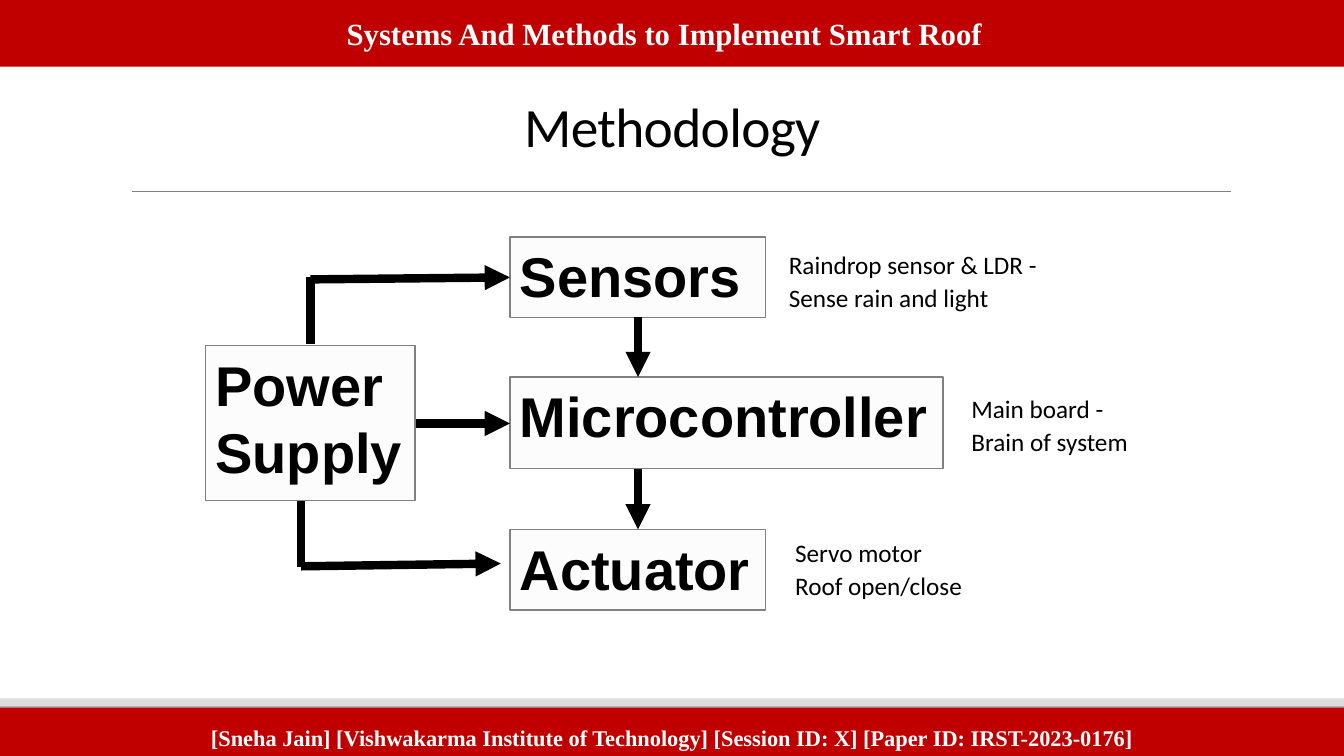
from dataclasses import dataclass

from lxml import etree
from pptx import Presentation
from pptx.dml.color import RGBColor
from pptx.enum import shapes, text
from pptx.oxml import ns
from pptx.util import Cm, Pt

SLIDE_WIDTH, SLIDE_HEIGHT = 33.87, 19.05
BLACK, WHITE, RED = "000000", "FFFFFF", "C00000"
BOX_LEFT, FLOW_X = 12.85, 16.08


@dataclass
class Box:
    label: str
    left: float
    top: float
    width: float
    height: float


@dataclass
class Line:
    x1: float
    y1: float
    x2: float
    y2: float
    arrow: bool = True


BOXES = [
    Box("Sensors", BOX_LEFT, 5.97, 6.45, 2.03),
    Box("Actuator", BOX_LEFT, 13.34, 6.45, 2.03),
    Box("Microcontroller", BOX_LEFT, 9.5, 10.92, 2.31),
    Box("Power\nSupply", 5.18, 8.71, 5.28, 3.91),
]
NOTES = [
    Box("Raindrop sensor & LDR -\nSense rain and light", 19.63, 6.07, 7.04, 1.9),
    Box("Main board -\nBrain of system", 24.23, 9.7, 4.88, 1.9),
    Box("Servo motor\nRoof open/close", 19.79, 13.34, 4.88, 1.9),
]
LINES = [
    Line(7.82, 7.04, BOX_LEFT, 6.99),
    Line(7.82, 8.66, 7.82, 6.99, arrow=False),
    Line(FLOW_X, 8, FLOW_X, 9.5),
    Line(FLOW_X, 11.81, FLOW_X, 13.34),
    Line(10.49, 10.67, BOX_LEFT, 10.67),
    Line(7.59, 14.27, 12.62, 14.2),
    Line(7.59, 14.3, 7.59, 12.62, arrow=False),
]


def color(hex_value: str) -> RGBColor:
    return RGBColor.from_string(hex_value)


def write(shape, content: str, *, font: str, size: float, hex_value: str = BLACK,
          bold: bool = False, align=text.PP_ALIGN.LEFT,
          anchor=text.MSO_ANCHOR.TOP, line_spacing: float = 1.0) -> None:
    frame = shape.text_frame
    frame.word_wrap = True
    frame.vertical_anchor = anchor
    frame.text = content
    for paragraph in frame.paragraphs:
        paragraph.alignment = align
        paragraph.line_spacing = line_spacing
        for run in paragraph.runs:
            run.font.name = font
            run.font.size = Pt(size)
            run.font.bold = bold
            run.font.color.rgb = color(hex_value)


def add_rectangle(slide, box: Box, fill: str, outline: str | None = None):
    shape = slide.shapes.add_shape(
        shapes.MSO_SHAPE.RECTANGLE,
        Cm(box.left), Cm(box.top), Cm(box.width), Cm(box.height))
    shape.shadow.inherit = False
    shape.fill.solid()
    shape.fill.fore_color.rgb = color(fill)
    if outline:
        shape.line.color.rgb = color(outline)
        shape.line.width = Pt(1)
    else:
        shape.line.fill.background()
    return shape


def add_line(slide, line: Line, hex_value: str = BLACK, width: float = 6) -> None:
    connector = slide.shapes.add_connector(
        shapes.MSO_CONNECTOR.STRAIGHT,
        Cm(line.x1), Cm(line.y1), Cm(line.x2), Cm(line.y2))
    connector.line.color.rgb = color(hex_value)
    connector.line.width = Pt(width)
    if line.arrow:
        etree.SubElement(connector.line._get_or_add_ln(), ns.qn("a:tailEnd"),
                         type="triangle")
    etree.SubElement(connector._element.spPr, ns.qn("a:effectLst"))


def add_band(slide, band: Box, size: float, anchor):
    shape = add_rectangle(slide, band, RED)
    write(shape, band.label, font="Times New Roman", size=size, hex_value=WHITE,
          bold=True, align=text.PP_ALIGN.CENTER, anchor=anchor)
    return shape


def add_title(slide) -> None:
    title = slide.shapes.title
    title.left, title.top = Cm(12.85), Cm(2.49)
    title.width, title.height = Cm(8.18), Cm(1.63)
    write(title, "Methodology", font="Calibri", size=39.6,
          align=text.PP_ALIGN.CENTER, anchor=text.MSO_ANCHOR.BOTTOM,
          line_spacing=0.85)
    title.text_frame.auto_size = text.MSO_AUTO_SIZE.NONE
    title.text_frame.paragraphs[0].runs[0].font._element.set("spc", "-50")


def main() -> None:
    presentation = Presentation()
    presentation.slide_width = Cm(SLIDE_WIDTH)
    presentation.slide_height = Cm(SLIDE_HEIGHT)
    slide = presentation.slides.add_slide(presentation.slide_layouts[5])

    add_rectangle(slide, Box("", 0, 17.78, SLIDE_WIDTH, 1.27), "B2B2B2")
    add_rectangle(slide, Box("", 0, 17.6, SLIDE_WIDTH, 0.18), "DDDDDD")
    add_line(slide, Line(3.33, 4.83, 31.01, 4.83, arrow=False), "808080", 0.5)
    add_title(slide)

    for box in BOXES:
        shape = add_rectangle(slide, box, "FCFCFC", "808080")
        write(shape, box.label, font="Arial", size=40, bold=True)
    for line in LINES:
        add_line(slide, line)
    for note in NOTES:
        text_box = slide.shapes.add_textbox(
            Cm(note.left), Cm(note.top), Cm(note.width), Cm(note.height))
        write(text_box, note.label, font="Calibri", size=18, line_spacing=1.1)

    header = add_band(
        slide, Box("Systems And Methods to Implement Smart Roof",
                   0, 0, SLIDE_WIDTH, 1.68), 22, text.MSO_ANCHOR.MIDDLE)
    header.text_frame.margin_right = Cm(0.64)
    add_band(
        slide, Box("[Sneha Jain] [Vishwakarma Institute of Technology] "
                   "[Session ID: X] [Paper ID: IRST-2023-0176]",
                   0, 17.83, SLIDE_WIDTH, 1.22), 16, text.MSO_ANCHOR.BOTTOM)

    presentation.save("out.pptx")


if __name__ == "__main__":
    main()
